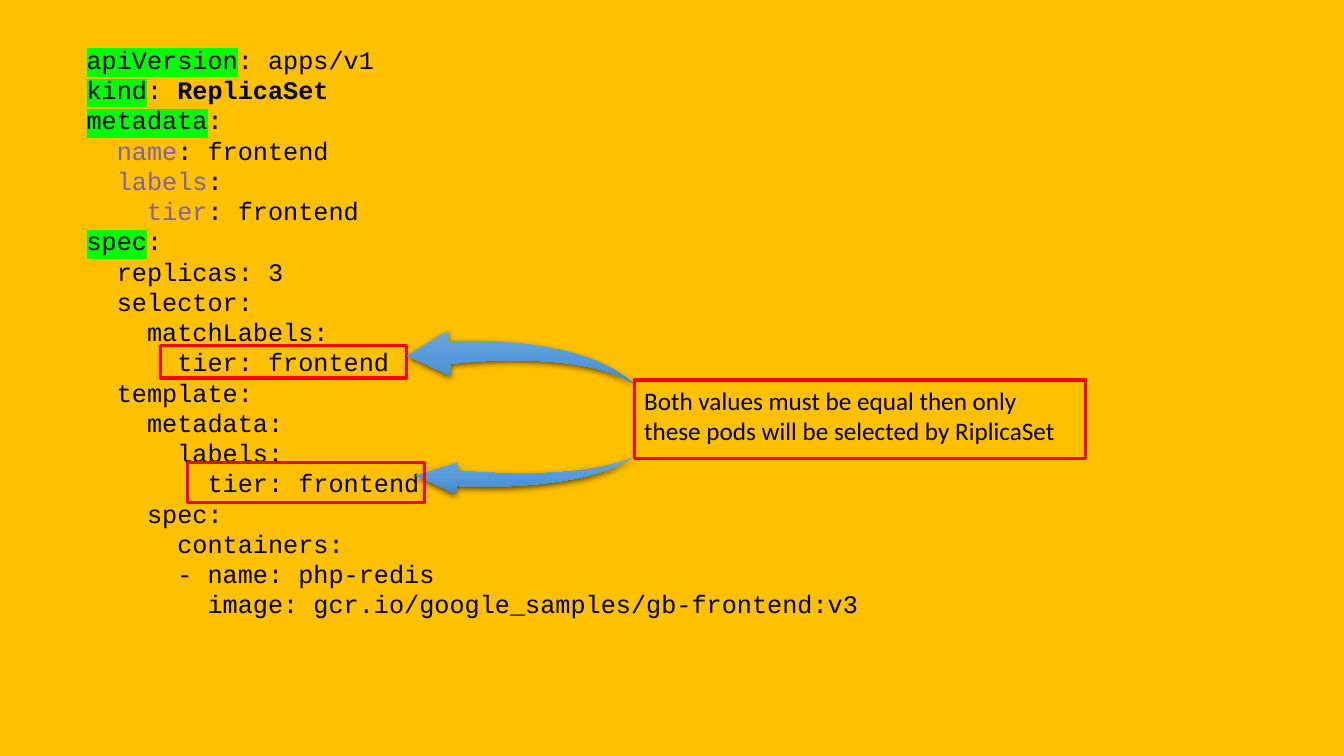
from dataclasses import dataclass

from lxml.etree import SubElement
from pptx import Presentation
from pptx.dml.color import RGBColor
from pptx.enum.shapes import MSO_SHAPE as Shape
from pptx.enum.text import MSO_AUTO_SIZE as AutoSize
from pptx.oxml import parse_xml
from pptx.oxml.ns import nsdecls, qn
from pptx.util import Inches, Pt

COLORS = {"background": "FFC000", "text": "000000", "key": "8064A2",
          "highlight": "00FF00", "frame": "FF0000", "shadow": "000000"}
ARROW_STOPS = {0: "71A6DB", 50: "559BDB", 100: "448ACA"}
WIDTH, HEIGHT = Inches(13.33), Inches(7.5)
CURVE_STEPS = 24
Point = tuple[float, float]


@dataclass
class Box:
    """A rectangle in percent of the slide's width and height."""
    left: float
    top: float
    width: float
    height: float

    def emu(self) -> tuple[int, int, int, int]:
        return (*to_emu((self.left, self.top)), *to_emu((self.width, self.height)))


@dataclass
class CodeLine:
    text: str
    key_style: str = ""
    bold_value: bool = False


@dataclass
class Arrow:
    """A curved arrow; each edge is its barb, neck and bend, in percent."""
    tip: Point
    tail: Point
    first_edge: tuple[Point, Point, Point]
    second_edge: tuple[Point, Point, Point]


CODE_BOX = Box(5.7, 5.2, 76.74, 78.13)
CODE = [
    CodeLine("apiVersion: apps/v1", "highlight"),
    CodeLine("kind: ReplicaSet", "highlight", bold_value=True),
    CodeLine("metadata:", "highlight"),
    CodeLine("  name: frontend", "key"),
    CodeLine("  labels:", "key"),
    CodeLine("    tier: frontend", "key"),
    CodeLine("spec:", "highlight"),
    CodeLine("  replicas: 3"),
    CodeLine("  selector:"),
    CodeLine("    matchLabels:"),
    CodeLine("      tier: frontend"),
    CodeLine("  template:"),
    CodeLine("    metadata:"),
    CodeLine("      labels:"),
    CodeLine("        tier: frontend"),
    CodeLine("    spec:"),
    CodeLine("      containers:"),
    CodeLine("      - name: php-redis"),
    CodeLine("        image: gcr.io/google_samples/gb-frontend:v3"),
]
LABEL_FRAMES = [Box(11.93, 45.73, 18.3, 4.27), Box(13.95, 61.2, 17.63, 5.33)]
NOTE_BOX = Box(47.19, 50.27, 33.61, 10.4)
NOTE = CodeLine("Both values must be equal then only these pods "
                "will be selected by RiplicaSet")
LOWER_ARROW = Arrow((30.98, 62.93), (47.19, 60.4),
                    ((33.91, 65.33), (33.98, 64.27), (43.14, 65.33)),
                    ((34.06, 61.2), (34.06, 62.27), (43.14, 63.87)))
UPPER_ARROW = Arrow((30.31, 47.07), (47.19, 50.8),
                    ((33.38, 43.73), (33.38, 45.2), (42.91, 44)),
                    ((33.53, 49.73), (33.53, 48.13), (42.91, 46)))


def to_emu(point: Point) -> tuple[int, int]:
    return round(point[0] * WIDTH / 100), round(point[1] * HEIGHT / 100)


def rgb(name: str) -> RGBColor:
    return RGBColor.from_string(COLORS[name])


def add_run(p, text: str, style: str = "", bold: bool = False) -> None:
    r = p.add_run()
    r.text = text
    if bold:
        r.font.bold = True
    if style == "key":
        r.font.color.rgb = rgb("key")
    elif style == "highlight":
        mark = SubElement(r.font._element, qn("a:highlight"))
        SubElement(mark, qn("a:srgbClr"), val=COLORS["highlight"])


def add_line(p, line: CodeLine) -> None:
    if not line.key_style:
        add_run(p, line.text)
        return
    key, colon, value = line.text.partition(":")
    name = key.lstrip()
    if name != key:
        add_run(p, key[:-len(name)])
    add_run(p, name, line.key_style)
    if line.bold_value:
        add_run(p, colon + " ")
        add_run(p, value.lstrip(), bold=True)
    else:
        add_run(p, colon + value)


def add_text(slide, box: Box, lines: list[CodeLine], font: str):
    sp = slide.shapes.add_textbox(*box.emu())
    tf = sp.text_frame
    tf.word_wrap = True
    tf.auto_size = AutoSize.SHAPE_TO_FIT_TEXT
    for i, line in enumerate(lines):
        p = tf.add_paragraph() if i else tf.paragraphs[0]
        add_line(p, line)
        p.font.name = font
        p.font.size = Pt(18)
        p.font.color.rgb = rgb("text")
    return sp


def outline(sp) -> None:
    sp.line.color.rgb = rgb("frame")
    sp.line.width = Pt(2.25)


def add_frame(slide, box: Box) -> None:
    sp = slide.shapes.add_shape(Shape.RECTANGLE, *box.emu())
    sp.shadow.inherit = False
    sp.fill.background()
    outline(sp)


def curve(neck: Point, bend: Point, tail: Point) -> list[Point]:
    """Sample the cubic curve that leaves the neck and bends into the tail."""
    points = []
    for step in range(CURVE_STEPS + 1):
        t = step / CURVE_STEPS
        a, b, c = (1 - t) ** 3 + 3 * t * (1 - t) ** 2, 3 * t * t * (1 - t), t ** 3
        points.append(tuple(a * n + b * m + c * e
                            for n, m, e in zip(neck, bend, tail)))
    return points


def add_arrow(slide, arrow: Arrow) -> None:
    first, second = ([barb, *curve(neck, bend, arrow.tail)]
                     for barb, neck, bend in (arrow.first_edge, arrow.second_edge))
    builder = slide.shapes.build_freeform(*to_emu(arrow.tip))
    builder.add_line_segments([to_emu(pt) for pt in first + second[-2::-1]])
    sp = builder.convert_to_shape()
    sp.line.fill.background()
    stops = "".join(f'<a:gs pos="{pos * 1000}"><a:srgbClr val="{color}"/></a:gs>'
                    for pos, color in ARROW_STOPS.items())
    gradient = parse_xml(f'<a:gradFill {nsdecls("a")}><a:gsLst>{stops}</a:gsLst>'
                         '<a:lin ang="5400000" scaled="0"/></a:gradFill>')
    shadow = parse_xml(
        f'<a:effectLst {nsdecls("a")}><a:outerShdw blurRad="{Pt(4.5)}" '
        f'dist="{Pt(1.5)}" dir="5400000" algn="ctr" rotWithShape="0">'
        f'<a:srgbClr val="{COLORS["shadow"]}"><a:alpha val="63000"/></a:srgbClr>'
        '</a:outerShdw></a:effectLst>')
    props = sp._element.spPr
    props.find(qn("a:custGeom")).addnext(gradient)
    props.find(qn("a:ln")).addnext(shadow)


def main() -> None:
    prs = Presentation()
    prs.slide_width, prs.slide_height = WIDTH, HEIGHT
    slide = prs.slides.add_slide(prs.slide_layouts[6])
    slide.background.fill.solid()
    slide.background.fill.fore_color.rgb = rgb("background")
    add_text(slide, CODE_BOX, CODE, "Courier New")
    add_arrow(slide, LOWER_ARROW)
    for frame in LABEL_FRAMES:
        add_frame(slide, frame)
    outline(add_text(slide, NOTE_BOX, [NOTE], "Calibri"))
    add_arrow(slide, UPPER_ARROW)
    prs.save("out.pptx")


if __name__ == "__main__":
    main()
